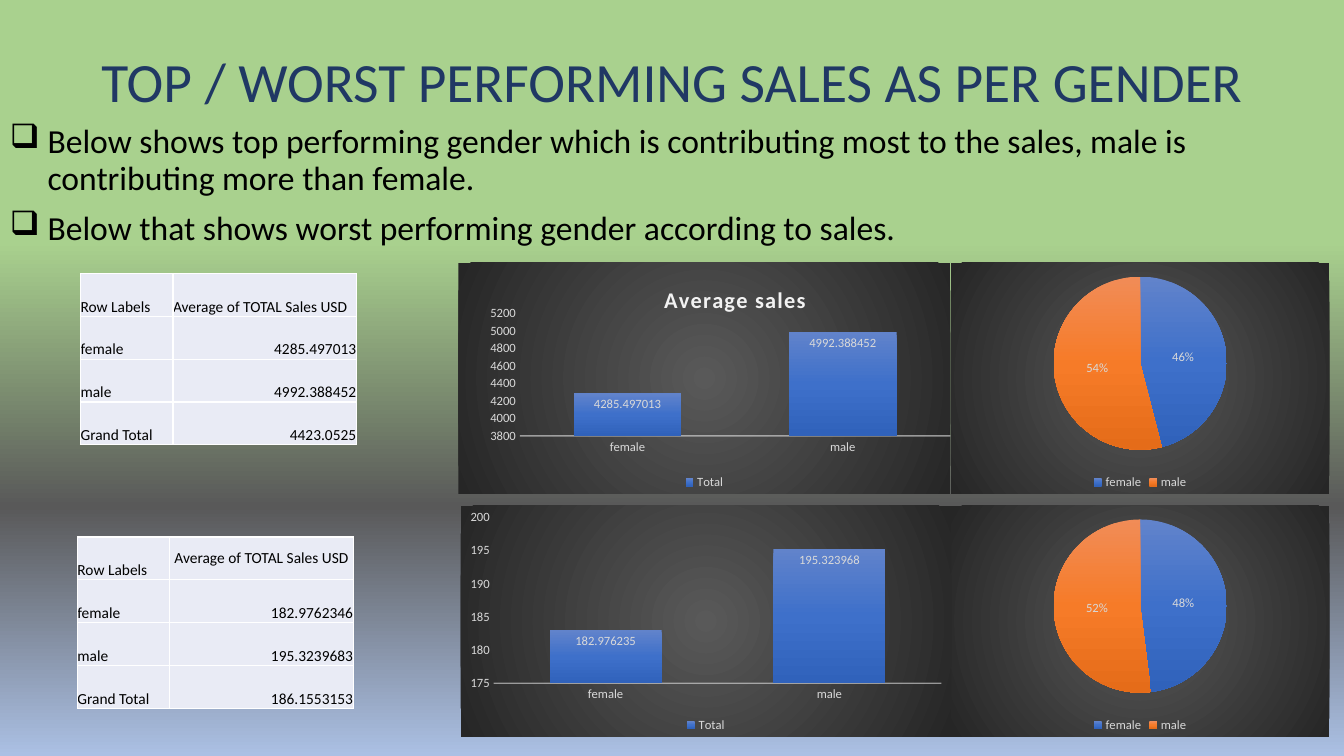
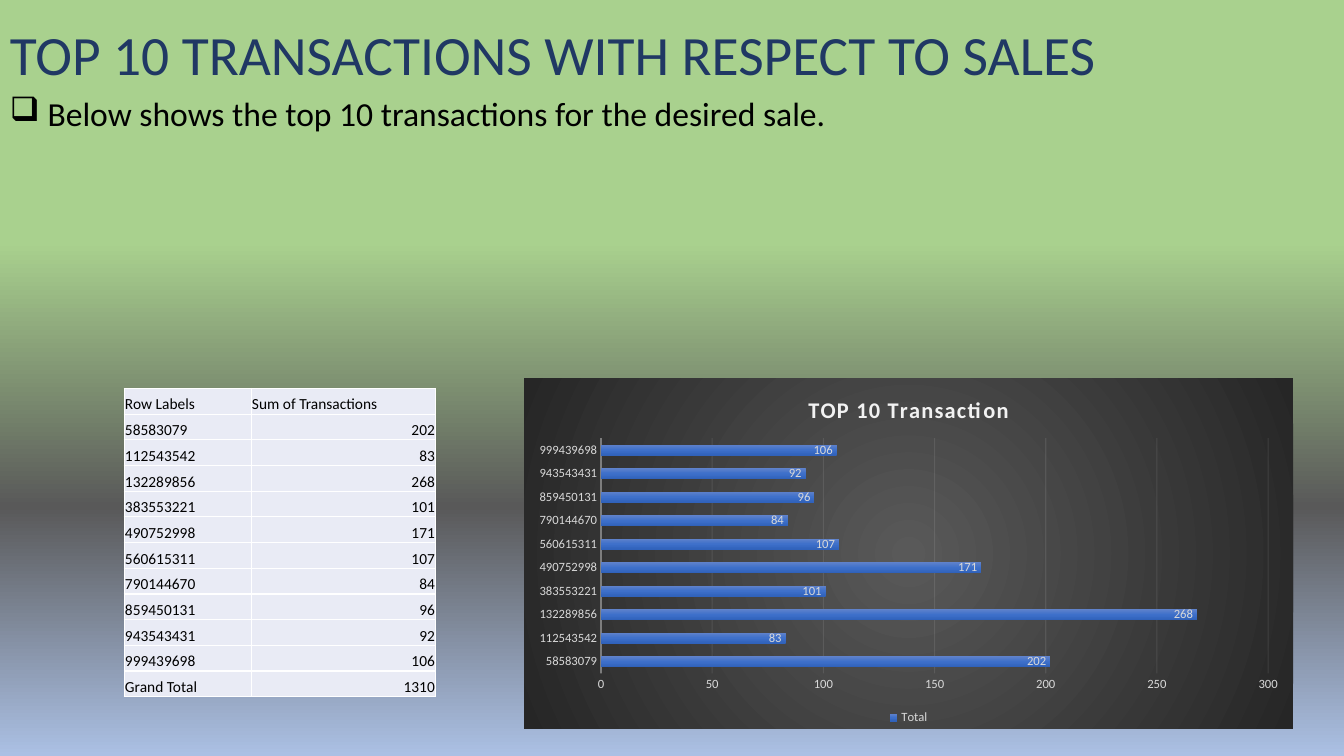
from dataclasses import dataclass

from lxml.etree import SubElement
from pptx import Presentation
from pptx.chart.data import CategoryChartData
from pptx.dml.color import RGBColor
from pptx.enum.chart import XL_CHART_TYPE, XL_LABEL_POSITION, XL_LEGEND_POSITION, XL_TICK_MARK
from pptx.enum.text import MSO_ANCHOR, PP_ALIGN
from pptx.oxml import parse_xml
from pptx.oxml.ns import nsdecls, qn
from pptx.util import Cm, Pt


@dataclass(frozen=True)
class Theme:
    font: str = "Calibri"
    navy: str = "203864"
    black: str = "000000"
    white: str = "FFFFFF"
    cell: str = "E9EBF5"
    pale: str = "D9D9D9"
    light: str = "F2F2F2"
    sky: tuple = ((32, "A9D18E"), (67, "595959"), (100, "ABC0E4"))
    dark: tuple = ((0, "595959"), (100, "262626"))
    blue: tuple = ((0, "6183CB"), (50, "3E70CA"), (100, "3062BB"))
    orange: tuple = ((0, "F18C57"), (50, "F67B28"), (100, "E56C19"))
    title: float = 39.6
    body: float = 24
    table: float = 11
    head: float = 16
    label: float = 9


THEME = Theme()
WIDTH, HEIGHT = 33.87, 19.05
GENDERS = ["female", "male"]
TOP_TEN = {
    "58583079": 202,
    "112543542": 83,
    "132289856": 268,
    "383553221": 101,
    "490752998": 171,
    "560615311": 107,
    "790144670": 84,
    "859450131": 96,
    "943543431": 92,
    "999439698": 106,
}


def style(font, size, color, bold=False):
    font.name = THEME.font
    font.size = Pt(size)
    font.bold = bold
    font.color.rgb = RGBColor.from_string(color)


def blend(stops, round_=False):
    marks = "".join(
        f'<a:gs pos="{pos * 1000}"><a:srgbClr val="{color}"/></a:gs>' for pos, color in stops
    )
    course = '<a:lin ang="5400000" scaled="0"/>'
    if round_:
        course = '<a:path path="circle"><a:fillToRect l="50000" t="50000" r="50000" b="50000"/></a:path>'
    return f'<a:gradFill {nsdecls("a")} rotWithShape="1"><a:gsLst>{marks}</a:gsLst>{course}</a:gradFill>'


def paint(fill, owner, stops):
    fill.solid()
    fill.fore_color.rgb = RGBColor.from_string(stops[0][1])
    solid = owner.find(".//" + qn("a:solidFill"))
    solid.getparent().replace(solid, parse_xml(blend(stops)))


def rule(line, width, alpha):
    line.width = Pt(width)
    line.color.rgb = RGBColor.from_string(THEME.light)
    color = line.fill._xPr.find(".//" + qn("a:srgbClr"))
    SubElement(color, qn("a:alpha"), val=str(alpha * 1000))


def place(owner, spot, **parts):
    for old in owner.findall(qn("c:layout")):
        owner.remove(old)
    rows = "".join(f'<c:{key} val="{val}"/>' for key, val in parts.items())
    owner.insert(spot, parse_xml(
        f'<c:layout {nsdecls("c")}><c:manualLayout>{rows}</c:manualLayout></c:layout>'
    ))


def add_text(slide, box, lines, size, color, align=PP_ALIGN.LEFT, anchor=MSO_ANCHOR.TOP, bullet=False):
    frame = slide.shapes.add_textbox(*map(Cm, box)).text_frame
    frame.word_wrap = True
    frame.vertical_anchor = anchor
    frame.text = "\n".join(lines)
    for para in frame.paragraphs:
        para.alignment = align
        para.line_spacing = 0.9
        style(para.runs[0].font, size, color)
        if bullet:
            para.space_before = Pt(10)
            props = para._p.get_or_add_pPr()
            props.set("marL", str(Cm(0.95)))
            props.set("indent", str(Cm(-0.95)))
            SubElement(props, qn("a:buFont"), typeface="Wingdings", charset="2")
            SubElement(props, qn("a:buChar"), char="q")


def add_page(deck, title, lines, top, split, align):
    slide = deck.slides.add_slide(deck.slide_layouts[6])
    paint(slide.background.fill, slide.element, THEME.sky)
    add_text(slide, (0, top, WIDTH, split - top), [title], THEME.title, THEME.navy,
             align, MSO_ANCHOR.BOTTOM)
    add_text(slide, (0, split, WIDTH, HEIGHT - split), lines, THEME.body, THEME.black, bullet=True)
    return slide


def add_grid(slide, box, cols, rows, inset=0):
    left, top, height = box
    shape = slide.shapes.add_table(
        len(rows), len(cols), Cm(left), Cm(top), Cm(sum(cols)), Cm(height))
    table = shape.table
    table.first_row = table.horz_banding = False
    for col, width in zip(table.columns, cols):
        col.width = Cm(width)
    for y, row in enumerate(rows):
        table.rows[y].height = Cm(height / len(rows))
        for x, text in enumerate(row):
            cell = table.cell(y, x)
            cell.text = text
            cell.vertical_anchor = MSO_ANCHOR.BOTTOM
            cell.margin_left = cell.margin_right = cell.margin_top = Cm(inset)
            cell.margin_bottom = 0
            cell.fill.solid()
            cell.fill.fore_color.rgb = RGBColor.from_string(THEME.cell)
            para = cell.text_frame.paragraphs[0]
            para.alignment = PP_ALIGN.RIGHT if x and y else PP_ALIGN.LEFT
            style(para.runs[0].font, THEME.table, THEME.black)
            props = cell._tc.get_or_add_tcPr()
            for spot, side in enumerate("LRTB"):
                props.insert(spot, parse_xml(
                    f'<a:ln{side} {nsdecls("a")} w="12700"><a:solidFill>'
                    f'<a:srgbClr val="{THEME.white}"/></a:solidFill></a:ln{side}>'
                ))
    return table


def add_graph(slide, box, kind, name, cats, vals):
    data = CategoryChartData()
    data.categories = cats
    data.add_series(name, vals)
    chart = slide.shapes.add_chart(kind, *map(Cm, box), data).chart
    style(chart.font, THEME.label, THEME.pale)
    chart._chartSpace.find(qn("c:txPr")).addprevious(parse_xml(
        f'<c:spPr {nsdecls("c", "a")}>{blend(THEME.dark, True)}<a:ln><a:noFill/></a:ln></c:spPr>'
    ))
    chart.has_title = False
    chart.has_legend = True
    chart.legend.position = XL_LEGEND_POSITION.BOTTOM
    chart.legend.include_in_layout = False
    style(chart.legend.font, THEME.label, THEME.pale)
    plot = chart.plots[0]
    plot.has_data_labels = True
    style(plot.data_labels.font, THEME.label, THEME.pale)
    return chart


def add_pie(slide, box, vals):
    chart = add_graph(slide, box, XL_CHART_TYPE.PIE, "Series 1", GENDERS, vals)
    plot = chart.plots[0]
    series = plot.series[0]
    for spot, stops in enumerate((THEME.blue, THEME.orange)):
        fill = series.points[spot].format.fill
        paint(fill, series._element.findall(qn("c:dPt"))[spot], stops)
    labels = plot.data_labels
    labels.show_value = False
    labels.show_percentage = True
    labels.number_format = "0%"
    labels.number_format_is_linked = False
    labels.position = XL_LABEL_POSITION.CENTER


def add_bars(slide, box, kind, cats, vals, gap, overlap, title=None):
    chart = add_graph(slide, box, kind, "Total", cats, vals)
    plot = chart.plots[0]
    plot.vary_by_categories = False
    plot.gap_width = gap
    plot.overlap = overlap
    plot.data_labels.show_value = True
    plot.data_labels.position = XL_LABEL_POSITION.INSIDE_END
    series = plot.series[0]
    paint(series.format.fill, series._element.find(qn("c:spPr")), THEME.blue)
    for axis in (chart.category_axis, chart.value_axis):
        axis.major_tick_mark = axis.minor_tick_mark = XL_TICK_MARK.NONE
        axis.has_major_gridlines = False
        style(axis.tick_labels.font, THEME.label, THEME.pale)
    rule(chart.category_axis.format.line, 1, 54)
    chart.value_axis.format.line.fill.background()
    if title:
        chart.has_title = True
        chart.chart_title.include_in_layout = False
        frame = chart.chart_title.text_frame
        frame.text = title
        run = frame.paragraphs[0].runs[0]
        style(run.font, THEME.head, THEME.light, True)
        run.font._element.set("spc", "100")
    return chart


def add_gender(deck):
    slide = add_page(deck, "TOP / WORST PERFORMING SALES AS PER GENDER", [
        "Below shows top performing gender which is contributing most to the sales, "
        "male is contributing more than female.",
        "Below that shows worst performing gender according to sales.",
    ], 0.05, 3.02, PP_ALIGN.CENTER)
    bands = [
        (6.62, 11.55, (2.03, 6.89), [4285.497013, 4992.388452], [46, 54],
         ["4285.497013", "4992.388452", "4423.0525"], "Average sales"),
        (12.74, 11.61, (1.95, 13.53), [182.976235, 195.323968], [48, 52],
         ["182.9762346", "195.3239683", "186.1553153"], None),
    ]
    split, height = 23.97, 5.82
    charts, tables = [], []
    for top, left, spot, vals, parts, cells, title in bands:
        add_pie(slide, (split, top, 9.53, height), parts)
        charts.append(add_bars(slide, (left, top, split - left, height),
                               XL_CHART_TYPE.COLUMN_CLUSTERED, GENDERS, vals, 100, -24, title))
        rows = [("Row Labels", "Average of TOTAL Sales USD"),
                *zip(GENDERS + ["Grand Total"], cells)]
        tables.append(add_grid(slide, (*spot, 4.32), (2.33, 4.62), rows))
    place(charts[0].chart_title._element, 1, xMode="edge", yMode="edge", x=0.41, y=0.08)
    area = charts[0]._chartSpace.find(".//" + qn("c:plotArea"))
    place(area, 0, layoutTarget="inner", xMode="edge", yMode="edge",
          x=1 / 8, y=0.22, w=7 / 8, h=0.53)
    head = tables[1].cell(0, 1)
    head.vertical_anchor = MSO_ANCHOR.MIDDLE
    head.text_frame.paragraphs[0].alignment = PP_ALIGN.CENTER


def add_top(deck):
    slide = add_page(deck, "TOP 10 TRANSACTIONS WITH RESPECT TO SALES",
                     ["Below shows the top 10 transactions for the desired sale."],
                     0, 2.33, PP_ALIGN.LEFT)
    chart = add_bars(slide, (13.21, 9.53, 19.38, 8.84), XL_CHART_TYPE.BAR_CLUSTERED,
                     list(TOP_TEN), list(TOP_TEN.values()), 115, -20, "TOP 10 Transaction")
    chart.value_axis.has_major_gridlines = True
    rule(chart.value_axis.major_gridlines.format.line, 0.75, 10)
    rows = [("Row Labels", "Sum of Transactions"),
            *((key, str(val)) for key, val in TOP_TEN.items()),
            ("Grand Total", str(sum(TOP_TEN.values())))]
    add_grid(slide, (3.13, 9.79, 7.77), (3.2, 4.65), rows, 0.02)


def main():
    deck = Presentation()
    deck.slide_width, deck.slide_height = Cm(WIDTH), Cm(HEIGHT)
    add_gender(deck)
    add_top(deck)
    deck.save("out.pptx")


if __name__ == "__main__":
    main()
